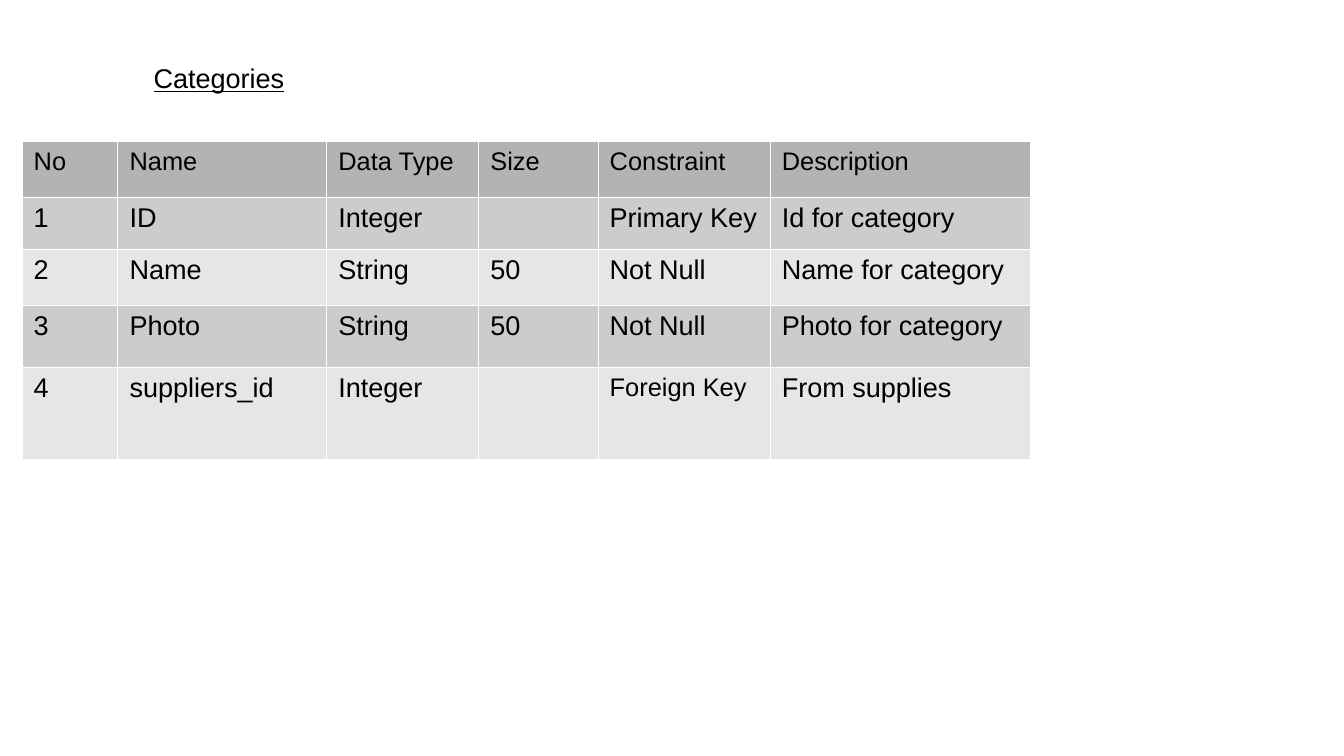
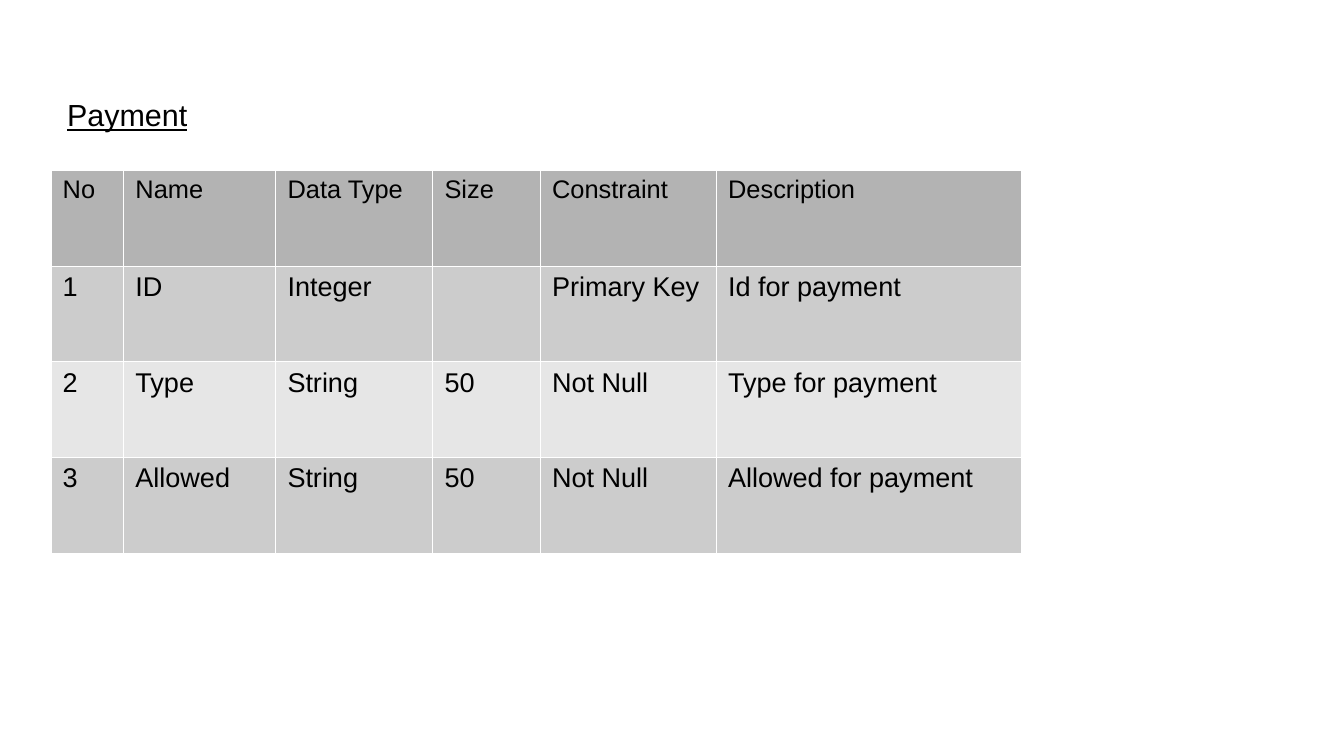
"""Build two data dictionary slides, each with a heading and a table of fields."""
from dataclasses import dataclass

from lxml.etree import SubElement
from pptx import Presentation
from pptx.dml.color import RGBColor as RGB
from pptx.enum.text import MSO_ANCHOR as ANCHOR
from pptx.oxml.ns import qn
from pptx.util import Pt


@dataclass(frozen=True)
class Theme:
    font: str = "Arial"
    ink: str = "000000"
    border: str = "FFFFFF"
    header: str = "B3B3B3"
    bands: tuple = ("CCCCCC", "E6E6E6")
    header_size: int = 15
    body_size: int = 16
    border_width: float = 0.06
    inset_x: float = 7.1
    inset_y: float = 3.6


THEME = Theme()
SLIDE_SIZE = (793.4, 446.4)
HEADINGS = ("No", "Name", "Data Type", "Size", "Constraint", "Description")
SMALL_CELLS = {"Foreign Key"}

SLIDES = [
    dict(
        title="Categories", title_size=16, title_box=(90.7, 22.3, 96.5, 46.8),
        origin=(12.8, 83.6),
        widths=(56.6, 123.3, 89.8, 70.4, 101.6, 153.9),
        heights=(33, 30.5, 33.2, 36.5, 54.4),
        fields=[
            ("ID", "Integer", "", "Primary Key", "Id for category"),
            ("Name", "String", "50", "Not Null", "Name for category"),
            ("Photo", "String", "50", "Not Null", "Photo for category"),
            ("suppliers_id", "Integer", "", "Foreign Key", "From supplies"),
        ],
    ),
    dict(
        title="Payment", title_size=18, title_box=(39.6, 30.2, 108, 74.9),
        origin=(29.9, 100.2),
        widths=(43, 89.8, 92.7, 63.5, 103.9, 179.8),
        heights=(56.65,) * 4,
        fields=[
            ("ID", "Integer", "", "Primary Key", "Id for payment"),
            ("Type", "String", "50", "Not Null", "Type for payment"),
            ("Allowed", "String", "50", "Not Null", "Allowed for payment"),
        ],
    ),
]


def write(tf, text, size, underline=None, inset=(0, 0), anchor=ANCHOR.TOP):
    tf.word_wrap = True
    tf.vertical_anchor = anchor
    tf.margin_left = tf.margin_right = Pt(inset[0])
    tf.margin_top = tf.margin_bottom = Pt(inset[1])
    if text:
        r = tf.paragraphs[0].add_run()
        r.text = text
        r.font.name, r.font.size = THEME.font, Pt(size)
        r.font.underline = underline
        r.font.color.rgb = RGB.from_string(THEME.ink)


def style_cell(cell, color):
    tc_pr = cell._tc.get_or_add_tcPr()
    for side in ("lnL", "lnR", "lnT", "lnB"):
        ln = SubElement(tc_pr, qn(f"a:{side}"), w=str(Pt(THEME.border_width)))
        fill = SubElement(ln, qn("a:solidFill"))
        SubElement(fill, qn("a:srgbClr"), val=THEME.border)
    cell.fill.solid()
    cell.fill.fore_color.rgb = RGB.from_string(color)


def fill_cell(cell, text, row):
    color = THEME.bands[(row - 1) % 2] if row else THEME.header
    small = row == 0 or text in SMALL_CELLS
    style_cell(cell, color)
    cell.margin_left = cell.margin_right = Pt(THEME.inset_x)
    cell.margin_top = cell.margin_bottom = Pt(THEME.inset_y)
    write(cell.text_frame, text, THEME.header_size if small else THEME.body_size,
          inset=(THEME.inset_x, THEME.inset_y))


def add_fields_table(s, origin, widths, heights, fields):
    rows = [HEADINGS] + [(str(n), *field) for n, field in enumerate(fields, 1)]
    box = (*origin, sum(widths), sum(heights))
    table = s.shapes.add_table(len(rows), len(widths), *map(Pt, box)).table
    table.first_row = table.horz_banding = False
    for column, width in zip(table.columns, widths):
        column.width = Pt(width)
    for i, (height, texts) in enumerate(zip(heights, rows)):
        table.rows[i].height = Pt(height)
        for j, text in enumerate(texts):
            fill_cell(table.cell(i, j), text, i)


def add_slide(prs, title, title_size, title_box, **table):
    s = prs.slides.add_slide(prs.slide_layouts[6])
    sp = s.shapes.add_textbox(*map(Pt, title_box))
    write(sp.text_frame, title, title_size, underline=True, anchor=ANCHOR.MIDDLE)
    add_fields_table(s, **table)


def main():
    prs = Presentation()
    prs.slide_width, prs.slide_height = map(Pt, SLIDE_SIZE)
    for content in SLIDES:
        add_slide(prs, **content)
    prs.save("out.pptx")


if __name__ == "__main__":
    main()
